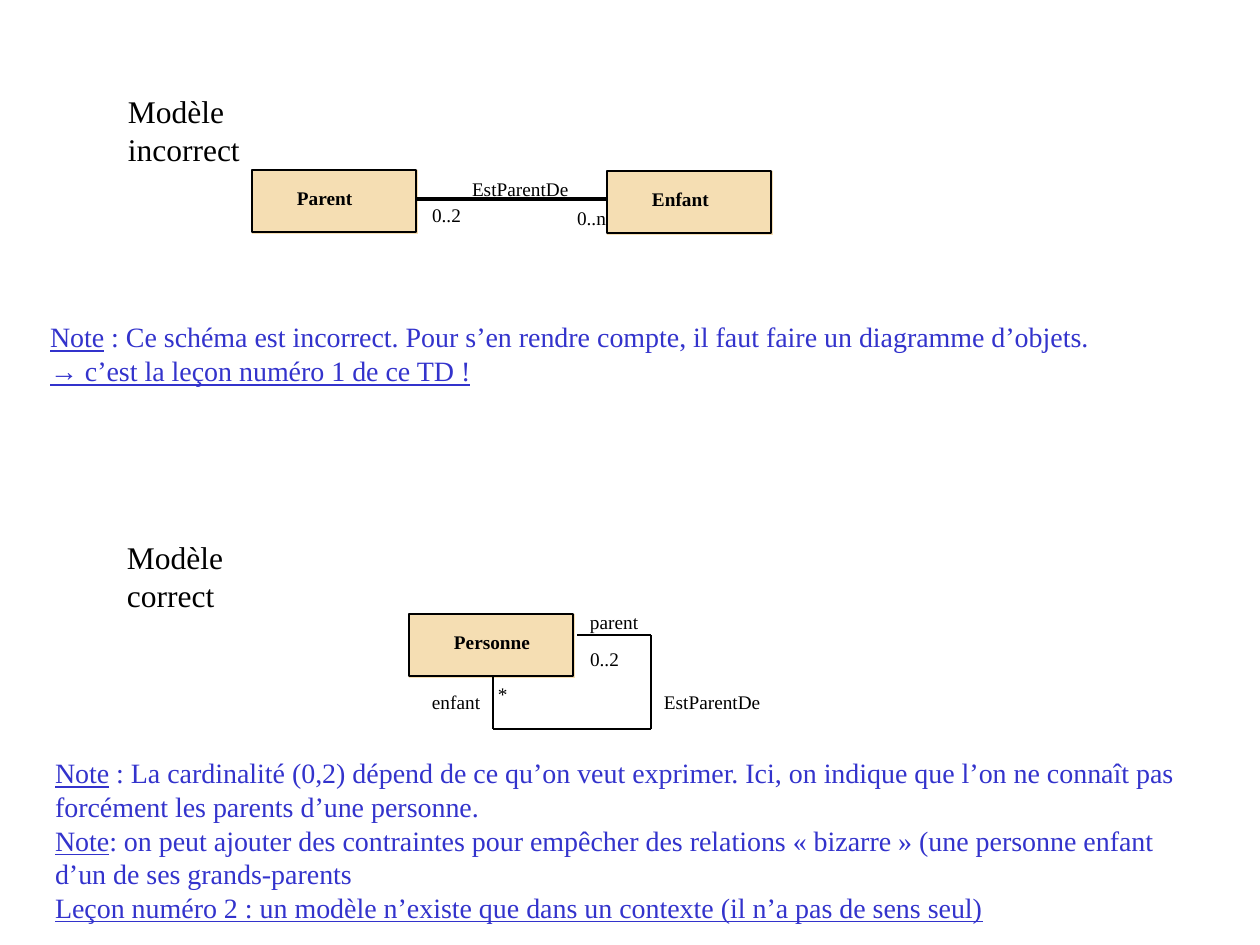
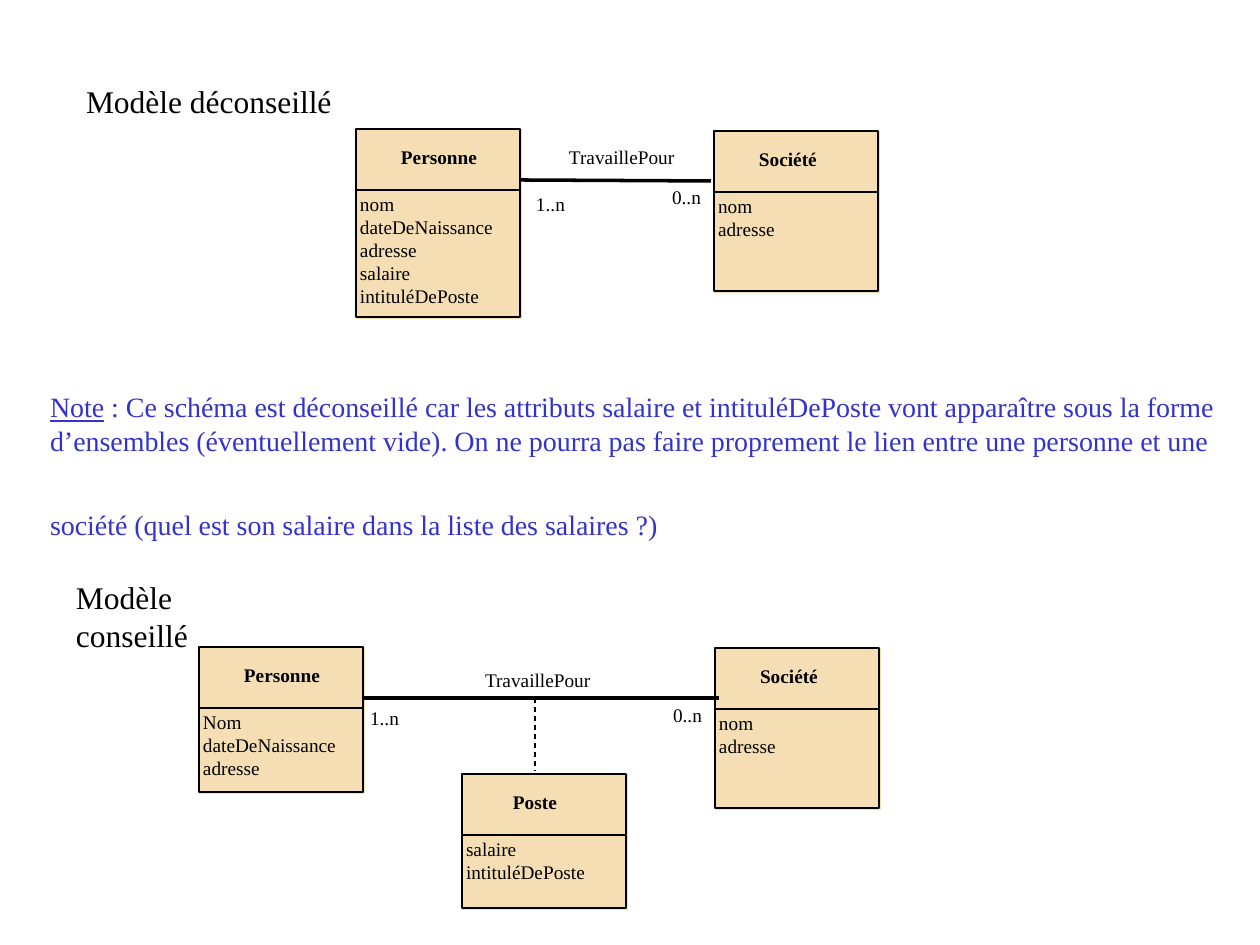
from dataclasses import dataclass
from typing import Optional

from lxml.etree import SubElement
from pptx import Presentation
from pptx.dml.color import RGBColor
from pptx.enum.dml import MSO_LINE
from pptx.enum.shapes import MSO_CONNECTOR, MSO_SHAPE
from pptx.enum.text import MSO_ANCHOR, MSO_AUTO_SIZE, PP_ALIGN
from pptx.oxml.ns import qn
from pptx.util import Pt

EMU_PER_PX = 914400 / 126
FONT = "Times New Roman"
COLORS = {"ink": "000000", "note": "3333CC", "box": "F5DEB3"}

# Class box geometry
BOX_W, HEAD_H, HEAD_STEP = 164, 62, 61
FILL_EXTRA = 2
LINE_H = 23


@dataclass(frozen=True)
class Span:
    text: str
    underline: bool = False
    font: str = FONT


@dataclass(frozen=True)
class Heading:
    x: int
    y: int
    w: int
    text: str


@dataclass(frozen=True)
class Note:
    x: int
    y: int
    w: int
    h: int
    paragraphs: list[list[Span]]


@dataclass(frozen=True)
class ClassBox:
    x: int
    y: int
    name: str
    name_w: int
    attributes: tuple[str, ...] = ()
    body_h: int = 0
    name_dx: int = 45


@dataclass(frozen=True)
class Link:
    points: tuple[tuple[int, int], ...]
    width: float = 0
    dashed: bool = False


@dataclass(frozen=True)
class Label:
    x: int
    y: int
    w: int
    text: str


@dataclass(frozen=True)
class Page:
    headings: list[Heading]
    notes: list[Note]
    boxes: list[ClassBox]
    links: list[Link]
    labels: list[Label]


def px(n: float) -> int:
    return round(n * EMU_PER_PX)


def rgb(key: str) -> RGBColor:
    return RGBColor.from_string(COLORS[key])


def place(sp, x: int, y: int, w: int, h: int) -> None:
    sp.left, sp.top, sp.width, sp.height = px(x), px(y), px(w), px(h)


def write(sp, paragraphs: list[list[Span]], *, size: int, color: str = "ink",
          bold: bool = False) -> None:
    """Fill a frame with unbulleted, left-aligned, unwrapped text."""
    tf = sp.text_frame
    tf.word_wrap = False
    tf.auto_size = MSO_AUTO_SIZE.NONE
    tf.vertical_anchor = MSO_ANCHOR.TOP
    tf.margin_left = tf.margin_right = tf.margin_top = tf.margin_bottom = 0
    for i, spans in enumerate(paragraphs):
        p = tf.add_paragraph() if i else tf.paragraphs[0]
        p.alignment = PP_ALIGN.LEFT
        p.space_before = Pt(0)
        pPr = p._p.get_or_add_pPr()
        pPr.set("marL", "0")
        pPr.set("indent", "0")
        SubElement(pPr, qn("a:buNone"))
        for span in spans:
            for j, line in enumerate(span.text.split("\n")):
                if j:
                    p.add_line_break()
                r = p.add_run()
                r.text = line
                f = r.font
                f.name, f.size, f.bold, f.underline = span.font, Pt(size), bold, span.underline
                f.color.rgb = rgb(color)


def add_text(s, x: int, y: int, w: int, lines: tuple[str, ...], *, bold: bool = False) -> None:
    sp = s.shapes.add_textbox(px(x), px(y), px(w), px(LINE_H * len(lines)))
    write(sp, [[Span(line)] for line in lines], size=11, bold=bold)


def add_rect(s, x: int, y: int, w: int, h: int, *, filled: bool) -> None:
    sp = s.shapes.add_shape(MSO_SHAPE.RECTANGLE, px(x), px(y), px(w), px(h))
    sp.shadow.inherit = False
    if filled:
        sp.fill.solid()
        sp.fill.fore_color.rgb = rgb("box")
        sp.line.fill.background()
    else:
        sp.fill.background()
        sp.line.color.rgb = rgb("ink")
        sp.line.width = Pt(0)


def add_compartment(s, x: int, y: int, h: int) -> None:
    add_rect(s, x, y, BOX_W + FILL_EXTRA, h + FILL_EXTRA, filled=True)
    add_rect(s, x, y, BOX_W, h, filled=False)


def add_class(s, box: ClassBox) -> None:
    add_compartment(s, box.x, box.y, HEAD_H)
    if box.attributes:
        body_y = box.y + HEAD_STEP
        add_compartment(s, box.x, body_y, box.body_h)
        add_text(s, box.x + 4, body_y + 2, BOX_W - 30, box.attributes)
    add_text(s, box.x + box.name_dx, box.y + 16, box.name_w, (box.name,), bold=True)


def add_link(s, link: Link) -> None:
    for (x1, y1), (x2, y2) in zip(link.points, link.points[1:]):
        c = s.shapes.add_connector(MSO_CONNECTOR.STRAIGHT, px(x1), px(y1), px(x2), px(y2))
        c.line.color.rgb = rgb("ink")
        c.line.width = Pt(link.width)
        if link.dashed:
            c.line.dash_style = MSO_LINE.DASH
        SubElement(c._element.spPr, qn("a:effectLst"))


def add_page(prs, page: Page) -> None:
    s = prs.slides.add_slide(prs.slide_layouts.get_by_name("Comparison"))
    holders = {ph.placeholder_format.idx: ph for ph in s.placeholders}
    # Headings use the title and first text holder, notes the content holders
    for idx, heading in zip((0, 1), page.headings):
        sp = holders.pop(idx)
        place(sp, heading.x, heading.y, heading.w, 38)
        write(sp, [[Span(heading.text)]], size=18)
    for idx, note in zip((2, 4), page.notes):
        sp = holders.pop(idx)
        place(sp, note.x, note.y, note.w, note.h)
        write(sp, note.paragraphs, size=16, color="note")
    for sp in holders.values():
        sp._element.getparent().remove(sp._element)
    # Diagrams
    for box in page.boxes:
        add_class(s, box)
    for link in page.links:
        add_link(s, link)
    for label in page.labels:
        add_text(s, label.x, label.y, label.w, (label.text,))


NOTE = Span("Note", underline=True)

PARENT_PAGE = Page(
    headings=[Heading(128, 92, 216, "Modèle incorrect"),
              Heading(127, 538, 191, "Modèle correct")],
    notes=[
        Note(50, 320, 1040, 68, [
            [NOTE, Span(" : Ce schéma est incorrect. Pour s’en rendre compte, "
                        "il faut faire un diagramme d’objets.")],
            [Span("→", True, "Arial"), Span(" c’est la leçon numéro 1 de ce TD !", True)],
        ]),
        Note(55, 756, 1128, 168, [
            [NOTE, Span(" : La cardinalité (0,2) dépend de ce qu’on veut exprimer. "
                        "Ici, on indique que l’on ne connaît pas \n"
                        "forcément les parents d’une personne.")],
            [NOTE, Span(": on peut ajouter des contraintes pour empêcher des relations "
                        "« bizarre » (une personne enfant")],
            [Span("d’un de ses grands-parents")],
            [Span("Leçon numéro 2 : un modèle n’existe que dans un contexte "
                  "(il n’a pas de sens seul)", True)],
        ]),
    ],
    boxes=[ClassBox(252, 170, "Parent", 56),
           ClassBox(607, 171, "Enfant", 57),
           ClassBox(409, 614, "Personne", 77)],
    links=[Link(((416, 199), (607, 199))),
           Link(((493, 677), (493, 729), (651, 729), (651, 635), (577, 635)), 0.75)],
    labels=[Label(472, 177, 97, "EstParentDe"),
            Label(432, 203, 29, "0..2"),
            Label(577, 206, 29, "0..n"),
            Label(590, 610, 48, "parent"),
            Label(590, 647, 29, "0..2"),
            Label(432, 690, 48, "enfant"),
            Label(498, 682, 10, "*"),
            Label(664, 690, 96, "EstParentDe")],
)

JOB_PAGE = Page(
    headings=[Heading(86, 82, 246, "Modèle déconseillé"),
              Heading(76, 578, 216, "Modèle conseillé")],
    notes=[
        Note(50, 390, 1165, 101, [
            [NOTE, Span(" : Ce schéma est déconseillé car les attributs salaire et "
                        "intituléDePoste vont apparaître sous la forme\n"
                        "d’ensembles (éventuellement vide). On ne pourra pas faire "
                        "proprement le lien entre une personne et une \n"
                        "société (quel est son salaire dans la liste des salaires ?)")],
        ]),
    ],
    boxes=[
        ClassBox(356, 129, "Personne", 77,
                 ("nom", "dateDeNaissance", "adresse", "salaire", "intituléDePoste"), 127),
        ClassBox(714, 131, "Société", 58, ("nom", "adresse"), 99),
        ClassBox(199, 647, "Personne", 77, ("Nom", "dateDeNaissance", "adresse"), 84),
        ClassBox(715, 648, "Société", 58, ("nom", "adresse"), 99),
        ClassBox(462, 774, "Poste", 44, ("salaire", "intituléDePoste"), 73, name_dx=51),
    ],
    links=[Link(((521, 180), (711, 181))),
           Link(((364, 698), (719, 698))),
           Link(((535, 698), (535, 771)), 0.75, dashed=True)],
    labels=[Label(569, 145, 106, "TravaillePour"),
            Label(536, 192, 29, "1..n"),
            Label(672, 185, 29, "0..n"),
            Label(485, 668, 106, "TravaillePour"),
            Label(370, 706, 29, "1..n"),
            Label(673, 703, 29, "0..n")],
)


def main() -> None:
    prs = Presentation()
    prs.slide_width, prs.slide_height = px(1260), px(945)
    for page in (PARENT_PAGE, JOB_PAGE):
        add_page(prs, page)
    prs.save("out.pptx")


if __name__ == "__main__":
    main()
